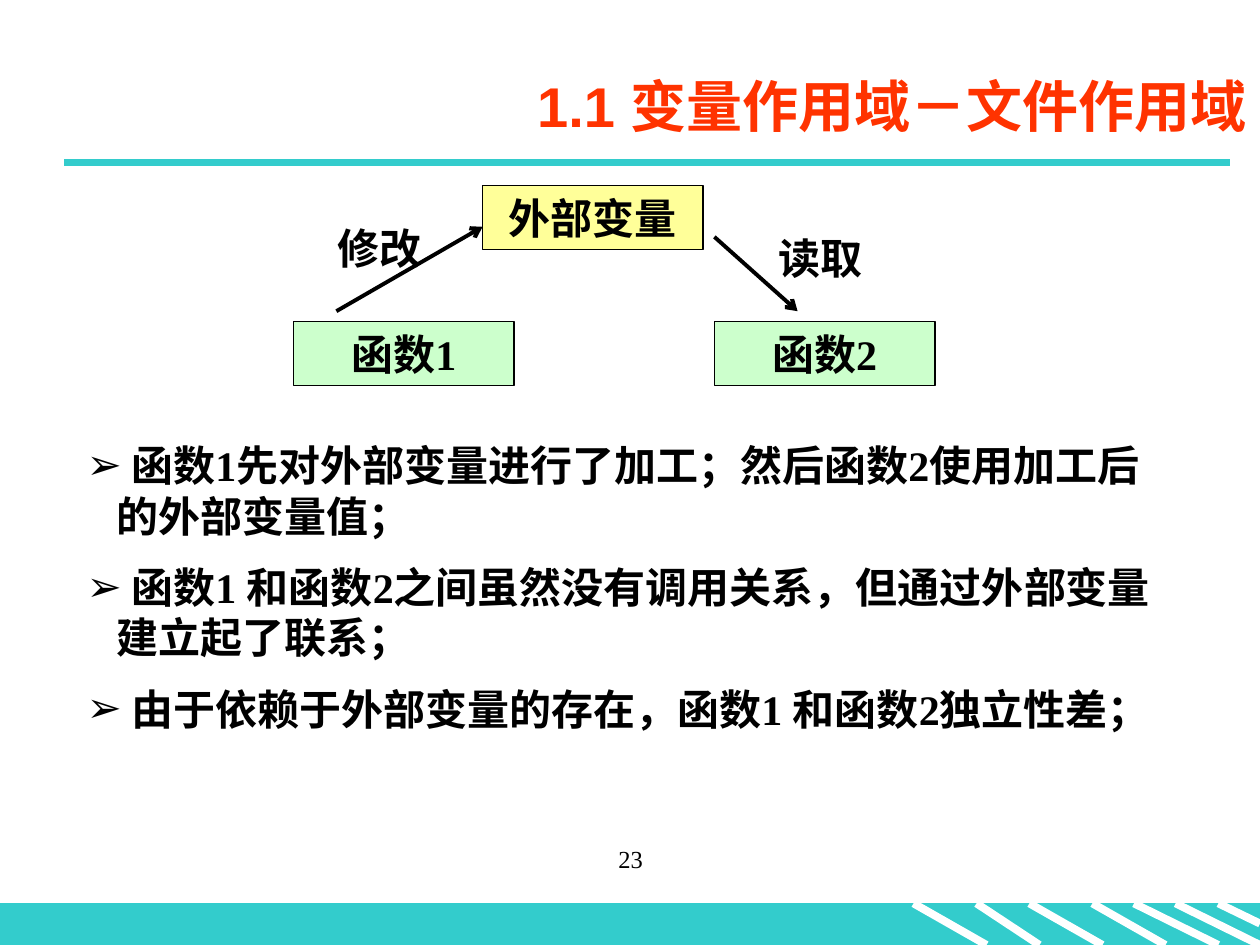
from dataclasses import dataclass

import pptx
import pptx.dml.color
import pptx.enum.shapes
import pptx.enum.text
import pptx.oxml
import pptx.oxml.ns
import pptx.util

Inches = pptx.util.Inches
Pt = pptx.util.Pt
RGBColor = pptx.dml.color.RGBColor
Align = pptx.enum.text.PP_ALIGN
Anchor = pptx.enum.text.MSO_ANCHOR

TEAL = RGBColor(0x33, 0xCC, 0xCC)
WHITE = RGBColor(0xFF, 0xFF, 0xFF)
BLACK = RGBColor(0, 0, 0)
GREEN = RGBColor(0xCC, 0xFF, 0xCC)
YELLOW = RGBColor(0xFF, 0xFF, 0x99)
ORANGE = RGBColor(0xFF, 0x33, 0x00)
SERIF = "Times New Roman"
BAND_TOP, PAGE_BOTTOM = 7.17, 7.5


@dataclass
class Node:
    text: str
    left: float
    top: float
    fill: RGBColor


@dataclass
class Label:
    text: str
    left: float
    top: float


@dataclass
class Segment:
    start: tuple[float, float]
    end: tuple[float, float]
    color: RGBColor
    width: float
    arrow: bool = False


STRIPES = [
    Segment((left, BAND_TOP), (right, bottom), WHITE, 4.5)
    for left, right, bottom in [
        (7.25, 7.83, PAGE_BOTTOM), (7.75, 8.25, PAGE_BOTTOM),
        (8.17, 8.75, PAGE_BOTTOM), (8.67, 9.25, PAGE_BOTTOM),
        (9, 9.67, PAGE_BOTTOM), (9.33, 10, PAGE_BOTTOM), (9.67, 10, 7.33),
    ]
]
TITLE_RULE = Segment((0.51, 1.29), (9.76, 1.29), TEAL, 4.5)
NODES = [
    Node("函数1", 2.33, 2.55, GREEN),
    Node("函数2", 5.67, 2.55, GREEN),
    Node("外部变量", 3.83, 1.47, YELLOW),
]
ARROWS = [
    Segment((2.67, 2.47), (3.83, 1.8), BLACK, 2.25, arrow=True),
    Segment((5.67, 1.88), (6.33, 2.47), BLACK, 2.25, arrow=True),
]
LABELS = [Label("修改", 2.58, 1.72), Label("读取", 6.08, 1.8)]
POINTS = [
    " 函数1先对外部变量进行了加工；然后函数2使用加工后的外部变量值；",
    " 函数1 和函数2之间虽然没有调用关系，但通过外部变量建立起了联系；",
    " 由于依赖于外部变量的存在，函数1 和函数2独立性差；",
]


def add_span(para, text: str, size: float = 24, font: str = SERIF,
             color: RGBColor = BLACK, bold: bool = True) -> None:
    span = para.add_run()
    span.text = text
    span.font.size = Pt(size)
    span.font.name = font
    span.font.bold = bold
    span.font.color.rgb = color


def add_rectangle(page, left: float, top: float, width: float, height: float,
                  fill: RGBColor, line: RGBColor):
    box = page.shapes.add_shape(
        pptx.enum.shapes.MSO_SHAPE.RECTANGLE,
        Inches(left), Inches(top), Inches(width), Inches(height))
    box.shadow.inherit = False
    box.fill.solid()
    box.fill.fore_color.rgb = fill
    box.line.color.rgb = line
    box.line.width = Pt(0.75)
    return box


def add_text_frame(page, left: float, top: float, width: float, height: float):
    box = page.shapes.add_textbox(
        Inches(left), Inches(top), Inches(width), Inches(height))
    box.text_frame.word_wrap = True
    return box.text_frame


def add_segment(page, segment: Segment) -> None:
    connector = page.shapes.add_connector(
        pptx.enum.shapes.MSO_CONNECTOR.STRAIGHT,
        *map(Inches, segment.start + segment.end))
    connector.line.color.rgb = segment.color
    connector.line.width = Pt(segment.width)
    if segment.arrow:
        tail = pptx.oxml.ns.qn("a:tailEnd")
        connector.line._get_or_add_ln().makeelement(tail)
        line = connector.line._get_or_add_ln()
        line.append(line.makeelement(tail, {"type": "arrow"}))
    properties = connector._element.spPr
    properties.append(properties.makeelement(pptx.oxml.ns.qn("a:effectLst")))


def add_node(page, node: Node) -> None:
    box = add_rectangle(page, node.left, node.top, 1.75, 0.51, node.fill, BLACK)
    box.text_frame.vertical_anchor = Anchor.MIDDLE
    para = box.text_frame.paragraphs[0]
    para.alignment = Align.CENTER
    add_span(para, node.text)


def add_label(page, label: Label) -> None:
    frame = add_text_frame(page, label.left, label.top, 1.25, 0.5)
    add_span(frame.paragraphs[0], label.text)


def set_bullet(para) -> None:
    properties = para._p.get_or_add_pPr()
    properties.set("marL", str(Inches(0.24)))
    properties.set("indent", str(-Inches(0.24)))
    for tag, attributes in [("a:buFont", {"typeface": "Arial"}),
                            ("a:buChar", {"char": "➢"})]:
        properties.append(
            properties.makeelement(pptx.oxml.ns.qn(tag), attributes))


def add_points(page) -> None:
    frame = add_text_frame(page, 0.59, 3.44, 8.74, 2.5)
    for index, point in enumerate(POINTS):
        para = frame.add_paragraph() if index else frame.paragraphs[0]
        if index:
            para.space_before = Pt(12)
        set_bullet(para)
        add_span(para, point)


def format_title(page) -> None:
    title = page.shapes.title
    title.left, title.top = Inches(1.5), Inches(0.44)
    title.width, title.height = Inches(8.5), Inches(0.79)
    title.text_frame.vertical_anchor = Anchor.MIDDLE
    para = title.text_frame.paragraphs[0]
    para.alignment = Align.RIGHT
    add_span(para, "1.1 变量作用域－文件作用域", 32, "Arial", ORANGE)


def add_page_number(page) -> None:
    para = add_text_frame(page, 3.42, 6.65, 3.17, 0.5).paragraphs[0]
    para.alignment = Align.CENTER
    add_span(para, "23", size=14, bold=False)


def main() -> None:
    deck = pptx.Presentation()
    deck.slide_width, deck.slide_height = Inches(10), Inches(7.5)
    page = deck.slides.add_slide(deck.slide_layouts[5])
    format_title(page)
    add_rectangle(page, 0, BAND_TOP, 10, PAGE_BOTTOM - BAND_TOP, TEAL, TEAL)
    for segment in [*STRIPES, TITLE_RULE]:
        add_segment(page, segment)
    add_page_number(page)
    for node in NODES:
        add_node(page, node)
    add_points(page)
    for arrow in ARROWS:
        add_segment(page, arrow)
    for label in LABELS:
        add_label(page, label)
    deck.save("out.pptx")


if __name__ == "__main__":
    main()
